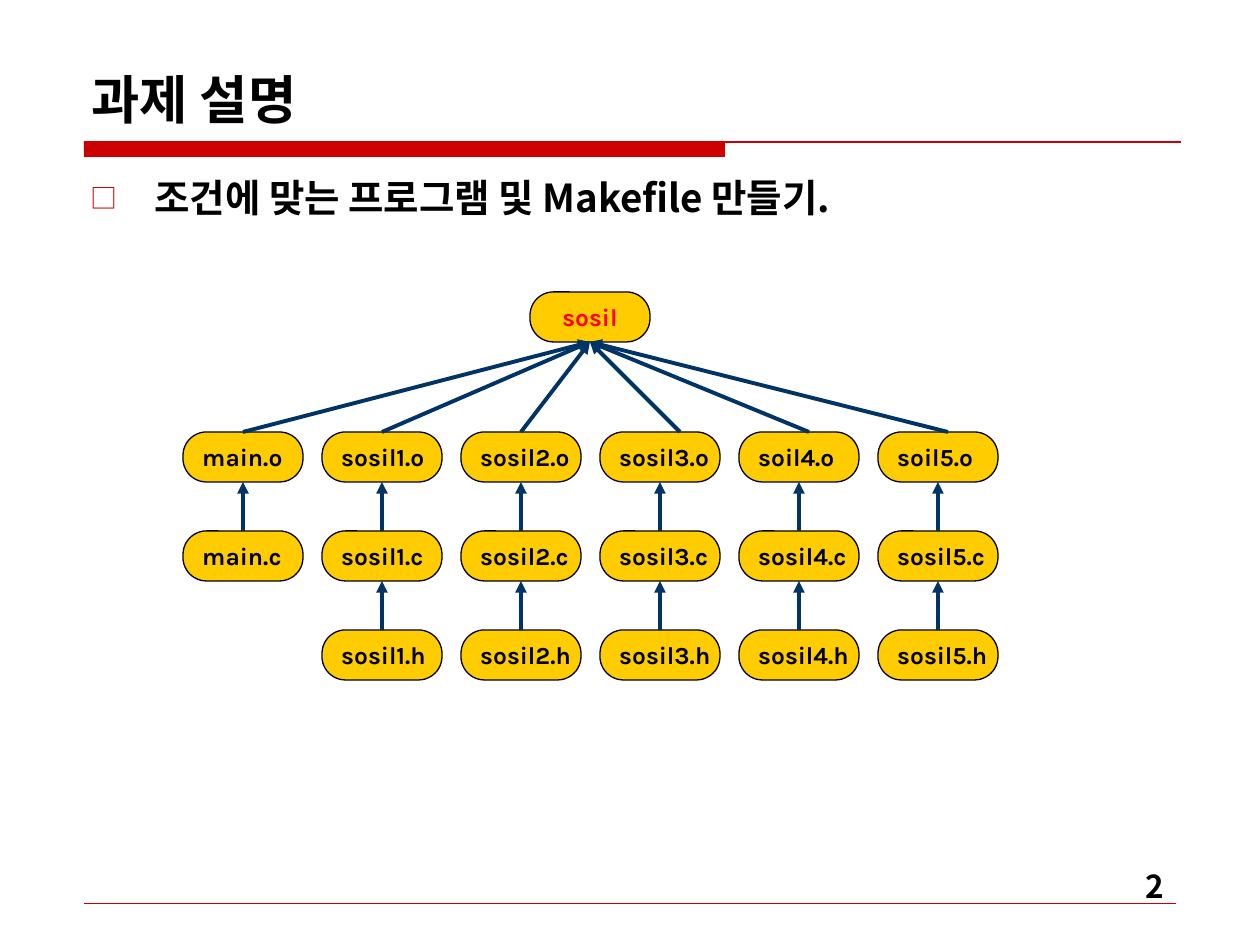
import lxml.etree
import pptx
import pptx.dml.color
import pptx.enum.shapes
import pptx.enum.text
import pptx.oxml.ns
import pptx.util

RED = pptx.dml.color.RGBColor(0xCC, 0x00, 0x00)
BRIGHT_RED = pptx.dml.color.RGBColor(0xFF, 0x00, 0x00)
GOLD = pptx.dml.color.RGBColor(0xFF, 0xCC, 0x00)
NAVY = pptx.dml.color.RGBColor(0x00, 0x33, 0x66)
BLACK = pptx.dml.color.RGBColor(0x00, 0x00, 0x00)

KOREAN_FONT = "Noto Sans CJK KR"
FILE_FONT = "Karla"
TOP, BOTTOM = 0, 2

# Object, source and header file of each column, from left to right
FILE_COLUMNS = [
    ["main.o", "main.c"],
    ["sosil1.o", "sosil1.c", "sosil1.h"],
    ["sosil2.o", "sosil2.c", "sosil2.h"],
    ["sosil3.o", "sosil3.c", "sosil3.h"],
    ["soil4.o", "sosil4.c", "sosil4.h"],
    ["soil5.o", "sosil5.c", "sosil5.h"],
]
# How far right of the box centre each arrow to the program starts
START_SHIFTS = [0, 0, 0, 20, 10, 10]


def px(count):
    return pptx.util.Emu(round(count * 914400 / 126))


def add_element(parent, tag, **attributes):
    return lxml.etree.SubElement(parent, pptx.oxml.ns.qn(tag), attributes)


def set_font(paragraph, name, size, color):
    font = paragraph.font
    font.name, font.size, font.bold = name, pptx.util.Pt(size), True
    font.color.rgb = color
    defaults = paragraph._p.pPr.find(pptx.oxml.ns.qn("a:defRPr"))
    add_element(defaults, "a:ea", typeface=name)


def add_text(slide, left, top, width, height, text):
    box = slide.shapes.add_textbox(px(left), px(top), px(width), px(height))
    box.text_frame.word_wrap = True
    box.text_frame.text = text
    return box.text_frame


def add_line(slide, start, end, color, weight):
    line = slide.shapes.add_connector(
        pptx.enum.shapes.MSO_CONNECTOR.STRAIGHT, *map(px, start + end))
    line.line.color.rgb = color
    line.line.width = pptx.util.Pt(weight)
    add_element(line._element.spPr, "a:effectLst")
    return line


def add_arrow(slide, start, end):
    arrow = add_line(slide, start, end, NAVY, 2.25)
    add_element(arrow.line._get_or_add_ln(), "a:tailEnd", type="triangle")
    return arrow


def add_header(slide, left, top, width):
    title = add_text(slide, left - 5, top - 100, width + 5, 94, "과제 설명")
    title.vertical_anchor = pptx.enum.text.MSO_ANCHOR.BOTTOM
    set_font(title.paragraphs[0], KOREAN_FONT, 30, BLACK)
    # Thick bar that runs on as a thin rule
    bar = slide.shapes.add_shape(
        pptx.enum.shapes.MSO_SHAPE.RECTANGLE, px(left), px(top), px(641), px(15))
    bar.shadow.inherit = False
    bar.fill.solid()
    bar.fill.fore_color.rgb = RED
    bar.line.fill.background()
    add_line(slide, (left, top), (left + width, top), RED, 0.75)


def add_task(slide, left, top, width, height):
    task = add_text(slide, left, top, width, height,
                    "조건에 맞는 프로그램 및 Makefile 만들기.").paragraphs[0]
    properties = task._p.get_or_add_pPr()
    properties.set("marL", str(px(64)))
    properties.set("indent", str(-px(64)))
    bullet_color = add_element(properties, "a:buClr")
    add_element(bullet_color, "a:srgbClr", val=str(RED))
    add_element(properties, "a:buSzPct", val="70000")
    add_element(properties, "a:buFont", typeface=KOREAN_FONT)
    add_element(properties, "a:buChar", char="□")
    set_font(task, KOREAN_FONT, 22, BLACK)


def add_file_box(slide, left, top, width, height, label, color, align):
    box = slide.shapes.add_shape(
        pptx.enum.shapes.MSO_SHAPE.ROUNDED_RECTANGLE,
        px(left), px(top), px(width), px(height))
    box.adjustments[0] = 0.47
    box.shadow.inherit = False
    box.fill.solid()
    box.fill.fore_color.rgb = GOLD
    box.line.color.rgb = BLACK
    box.line.width = pptx.util.Pt(0.75)
    box.text_frame.word_wrap = False
    box.text_frame.vertical_anchor = pptx.enum.text.MSO_ANCHOR.MIDDLE
    box.text_frame.text = label
    box.text_frame.paragraphs[0].alignment = align
    set_font(box.text_frame.paragraphs[0], FILE_FONT, 14, color)
    return box


def add_dependency_tree(slide, left, top, width):
    box_width, box_height, row_step = 120, 50, 99
    files_top = top + 140
    column_step = (width - box_width) / (len(FILE_COLUMNS) - 1)
    program_left = left + (width - box_width) // 2
    program = add_file_box(
        slide, program_left, top, box_width, box_height, "sosil", BRIGHT_RED,
        pptx.enum.text.PP_ALIGN.CENTER)
    program_foot = (program_left + box_width / 2, top + box_height)

    # Boxes of each column, with arrows from the lower file to the upper
    columns = []
    for column, labels in enumerate(FILE_COLUMNS):
        box_left = left + column * column_step
        center = box_left + box_width / 2
        boxes = [
            add_file_box(slide, box_left, files_top + row * row_step, box_width,
                         box_height, label, BLACK, pptx.enum.text.PP_ALIGN.LEFT)
            for row, label in enumerate(labels)]
        for row in range(1, len(boxes)):
            lower_top = files_top + row * row_step
            arrow = add_arrow(slide, (center, lower_top),
                              (center, lower_top - row_step + box_height))
            arrow.begin_connect(boxes[row], TOP)
            arrow.end_connect(boxes[row - 1], BOTTOM)
        columns.append((center, boxes[0]))

    # Arrows from the object files to the program
    for (center, object_file), shift in zip(columns, START_SHIFTS):
        arrow = add_arrow(slide, (center + shift, files_top), program_foot)
        if not shift:
            arrow.begin_connect(object_file, TOP)
        arrow.end_connect(program, BOTTOM)


def add_footer(slide, left, top, width):
    add_line(slide, (left, top), (left + width, top), RED, 0.25)
    number = add_text(slide, left + width - 273, top - 42, 273, 66, "2").paragraphs[0]
    number.alignment = pptx.enum.text.PP_ALIGN.RIGHT
    set_font(number, KOREAN_FONT, 18, BLACK)


def main():
    presentation = pptx.Presentation()
    presentation.slide_width, presentation.slide_height = px(1260), px(945)
    slide = presentation.slides.add_slide(presentation.slide_layouts[6])
    add_header(slide, 84, 142, 1097)
    add_task(slide, 78, 168, 1102, 77)
    add_dependency_tree(slide, 183, 292, 815)
    add_footer(slide, 84, 903, 1092)
    presentation.save("out.pptx")


if __name__ == "__main__":
    main()
